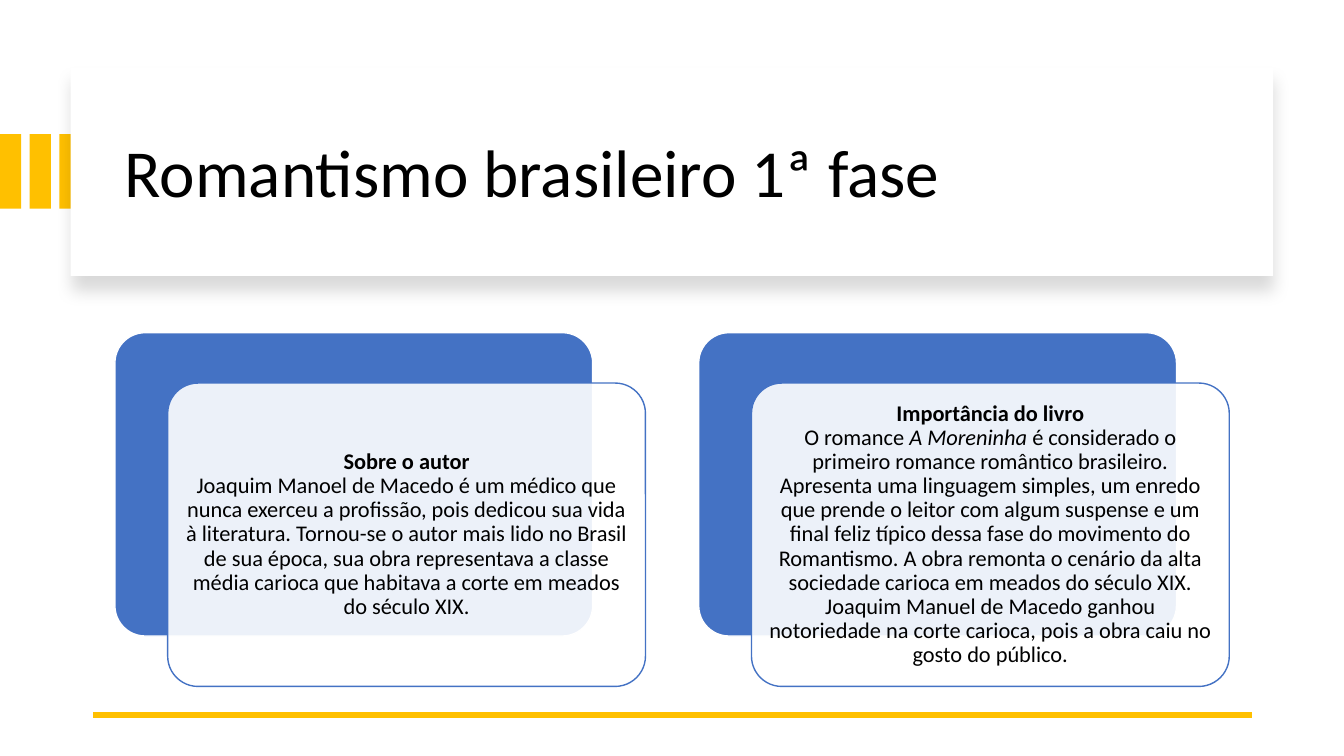
from lxml.etree import SubElement
from pptx import Presentation
from pptx.dml.color import RGBColor
from pptx.enum.shapes import MSO_CONNECTOR as Link, MSO_SHAPE as Kind
from pptx.enum.text import MSO_ANCHOR as Anchor, PP_ALIGN as Align
from pptx.oxml.ns import qn
from pptx.util import Pt

GOLD, BLUE, WHITE, BLACK = "FFC000", "4472C4", "FFFFFF", "000000"
CARDS = [
    ("Sobre o autor", [
        ("Joaquim Manoel de Macedo é um médico que nunca exerceu a profissão, "
         "pois dedicou sua vida à literatura. Tornou-se o autor mais lido no "
         "Brasil de sua época, sua obra representava a classe média carioca "
         "que habitava a corte em meados do século XIX.", {}),
    ]),
    ("Importância do livro", [
        ("O romance ", {}),
        ("A Moreninha", {"italic": True}),
        (" é considerado o primeiro romance romântico brasileiro. Apresenta "
         "uma linguagem simples, um enredo que prende o leitor com algum "
         "suspense e um final feliz típico dessa fase do movimento do "
         "Romantismo. A obra remonta o cenário da alta sociedade carioca em "
         "meados do século XIX. Joaquim Manuel de Macedo ganhou notoriedade "
         "na corte carioca, pois a obra caiu no gosto do público.", {}),
    ]),
]


def tint(part, color):
    part.rgb = RGBColor.from_string(color)


def fade(owner, percent):
    """Set the opacity of the first colour found under an XML element."""
    color = next(owner.iter(qn("a:srgbClr")))
    SubElement(color, qn("a:alpha"), val=str(percent * 1000))


def block(slide, kind, box, fill, line=None):
    shape = slide.shapes.add_shape(kind, *map(Pt, box))
    shape.shadow.inherit = False
    shape.fill.solid()
    tint(shape.fill.fore_color, fill)
    if line:
        tint(shape.line.color, line)
        shape.line.width = Pt(1)
    else:
        shape.line.fill.background()
    return shape


def write(para, text, size, **style):
    run = para.add_run()
    run.text = text
    for key, value in {"name": "Calibri", "size": Pt(size), **style}.items():
        setattr(run.font, key, value)
    tint(run.font.color, BLACK)


def frame(shape, align, inset):
    """Prepare a shape for text and give its first paragraph."""
    text = shape.text_frame
    sides = {f"margin_{side}": Pt(gap) for side, gap in
             zip(("left", "right", "top", "bottom"), inset)}
    form = {"word_wrap": True, "vertical_anchor": Anchor.MIDDLE, **sides}
    for key, value in form.items():
        setattr(text, key, value)
    para = text.paragraphs[0]
    para.alignment, para.line_spacing = align, 0.9
    return para


def stripes(slide, left, top, width, height):
    step = 21.2
    for i in range(3):
        block(slide, Kind.RECTANGLE,
              (left + i * step, top, width - 2 * step, height), GOLD)


def banner(slide, left, top, width, height):
    panel = block(slide, Kind.RECTANGLE, (left, top, width, height), WHITE)
    effects = panel._element.spPr.find(qn("a:effectLst"))
    shade = SubElement(effects, qn("a:outerShdw"), blurRad=str(Pt(11)),
                       dist=str(Pt(10)), dir="5400000", algn="t",
                       rotWithShape="0")
    SubElement(shade, qn("a:srgbClr"), val=BLACK)
    fade(shade, 15)
    area = (left + 31.7, top + 15.8, width - 57.6, height - 26.6)
    title = slide.shapes.add_textbox(*map(Pt, area))
    para = frame(title, Align.LEFT, (7.2, 7.2, 3.6, 3.6))
    write(para, "Romantismo brasileiro 1ª fase", 48)


def rule(slide, left, top, width):
    line = slide.shapes.add_connector(
        Link.STRAIGHT, *map(Pt, (left + width, top, left, top)))
    tint(line.line.color, GOLD)
    line.line.width = Pt(4.5)
    SubElement(line._element.spPr, qn("a:effectLst"))


def card(slide, left, top, width, height, head, body):
    shift, size = (37.7, 36), 16
    wide, high = width - shift[0], height - shift[1]
    back = block(slide, Kind.ROUNDED_RECTANGLE,
                 (left, top, wide, high), BLUE, WHITE)
    front = block(slide, Kind.ROUNDED_RECTANGLE,
                  (left + shift[0], top + shift[1], wide, high), WHITE, BLUE)
    for shape in (back, front):
        shape.adjustments[0] = 0.1
    fade(front._element.spPr.find(qn("a:solidFill")), 90)
    para = frame(front, Align.CENTER, (4.8,) * 4)
    write(para, head, size, bold=True)
    para.add_line_break()
    SubElement(para._p.find(qn("a:br")), qn("a:rPr"), sz=str(size * 100))
    for text, style in body:
        write(para, text, size, **style)


def main():
    deck = Presentation()
    deck.slide_width, deck.slide_height = Pt(960), Pt(540)
    slide = deck.slides.add_slide(deck.slide_layouts[6])
    stripes(slide, 0, 95.8, 57.6, 53.3)
    banner(slide, 50.4, 48.2, 859, 149)
    rule(slide, 66.2, 510.5, 828)
    for i, (head, body) in enumerate(CARDS):
        card(slide, 82.1 + i * 417, 237.6, 379, 252.7, head, body)
    deck.save("out.pptx")


if __name__ == "__main__":
    main()
